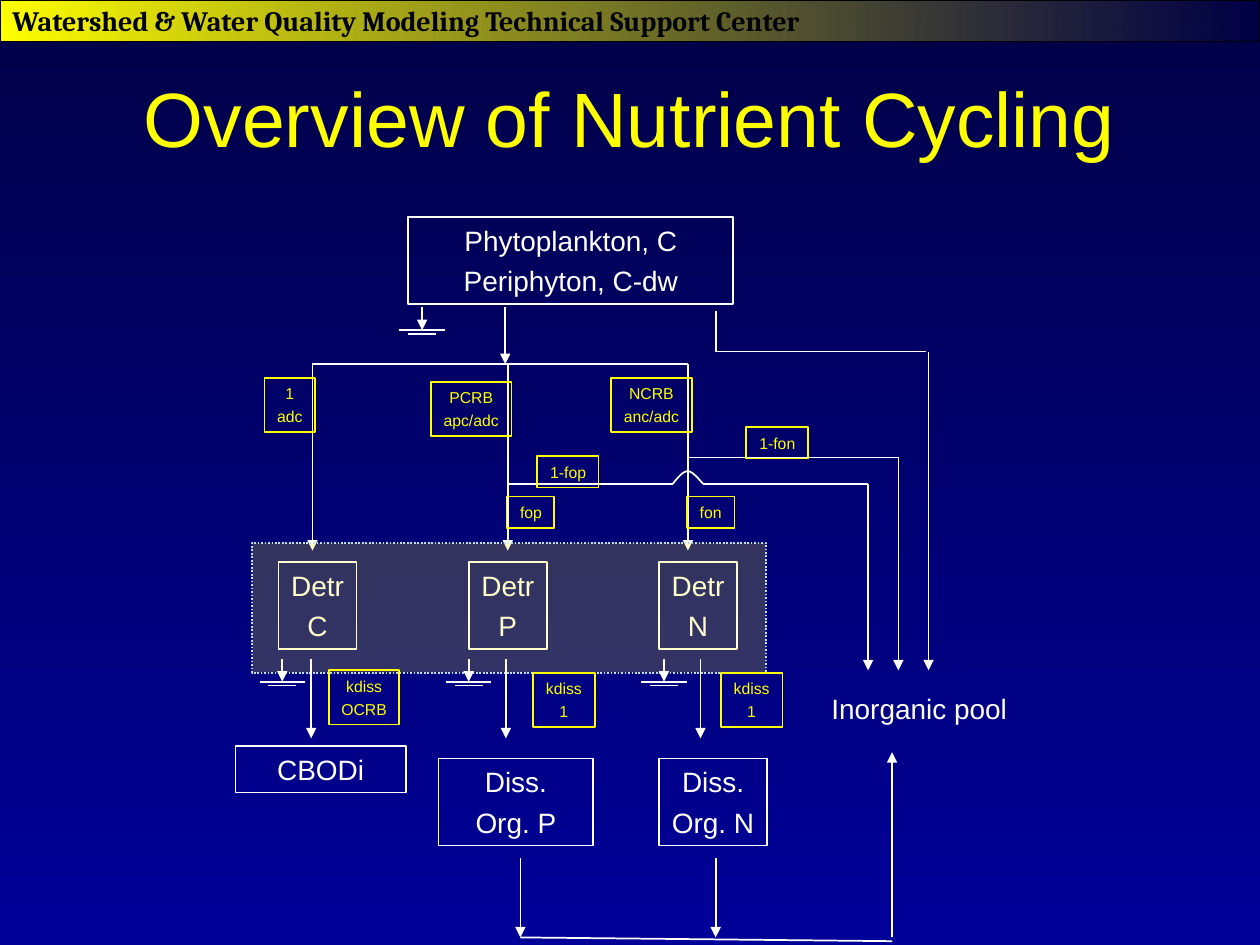
from lxml import etree
from pptx import Presentation, util as u
from pptx.dml.color import RGBColor
from pptx.enum import dml, shapes, text
from pptx.oxml import ns

Inches = u.Inches
COLORS = {"navy": "000046", "blue": "000099", "yellow": "FFFF00",
          "white": "FFFFFF", "black": "000000", "pale": "BBE0E3"}
ALIGN = text.PP_ALIGN
ANCHOR = text.MSO_ANCHOR


def rgb(name):
    return RGBColor.from_string(COLORS[name])


def set_alpha(sp, percent):
    color = sp._element.spPr.find(".//" + ns.qn("a:srgbClr"))
    etree.SubElement(color, ns.qn("a:alpha"), val=str(percent * 1000))


def set_gradient(fill, first, last, angle):
    fill.gradient()
    fill.gradient_angle = angle
    for stop, name in zip(fill.gradient_stops, (first, last)):
        stop.color.rgb = rgb(name)


def write(sp, content, size=16, color="white", font="Arial", bold=False,
          align=ALIGN.CENTER, anchor=ANCHOR.MIDDLE, before=0.0, wrap=False):
    tf = sp.text_frame
    tf.word_wrap = wrap
    tf.vertical_anchor = anchor
    for i, line in enumerate(content.split("\n")):
        p = tf.paragraphs[0] if i == 0 else tf.add_paragraph()
        p.alignment = align
        p.space_before = u.Pt(before)
        r = p.add_run()
        r.text = line
        r.font.size = u.Pt(size)
        r.font.name = font
        r.font.bold = bold
        r.font.color.rgb = rgb(color)


def set_outline(sp, line="white", width=1):
    sp.shadow.inherit = False
    sp.fill.background()
    sp.line.color.rgb = rgb(line)
    sp.line.width = u.Pt(width)


def add_rect(s, x, y, w, h, line="white", width=1):
    sp = s.shapes.add_shape(shapes.MSO_SHAPE.RECTANGLE,
                            Inches(x), Inches(y), Inches(w), Inches(h))
    set_outline(sp, line, width)
    return sp


def add_stock(s, x, y, w, h, content, wrap=False):
    write(add_rect(s, x, y, w, h), content, before=4, wrap=wrap)


def add_rate(s, x, y, w, h, content, align=ALIGN.CENTER):
    write(add_rect(s, x, y, w, h, "yellow"), content, size=9, color="yellow",
          align=align, anchor=ANCHOR.TOP, before=2.2)


def add_line(s, x1, y1, x2, y2, arrow=False):
    c = s.shapes.add_connector(shapes.MSO_CONNECTOR.STRAIGHT,
                               Inches(x1), Inches(y1), Inches(x2), Inches(y2))
    c.line.color.rgb = rgb("white")
    c.line.width = u.Pt(1)
    if arrow:
        ln = c._element.spPr.find(ns.qn("a:ln"))
        etree.SubElement(ln, ns.qn("a:tailEnd"), type="triangle")
    etree.SubElement(c._element.spPr, ns.qn("a:effectLst"))


def add_sink(s, x, y):
    add_line(s, x, y, x, y + 0.18, arrow=True)
    add_line(s, x - 0.18, y + 0.18, x + 0.18, y + 0.18)
    add_line(s, x - 0.11, y + 0.21, x + 0.11, y + 0.21)


def curve_points(p0, p1, p2, p3, steps=12):
    for i in range(1, steps + 1):
        t = i / steps
        weights = ((1 - t) ** 3, 3 * t * (1 - t) ** 2, 3 * t * t * (1 - t), t ** 3)
        yield tuple(Inches(sum(k * p[axis] for k, p in zip(weights, (p0, p1, p2, p3))))
                    for axis in (0, 1))


def add_line_hop(s, x, y):
    start, top, end = (x, y), (x + 0.12, y - 0.1), (x + 0.24, y)
    points = [*curve_points(start, (x + 0.04, y - 0.05), (x + 0.08, y - 0.1), top),
              *curve_points(top, (x + 0.16, y - 0.1), (x + 0.22, y - 0.02), end)]
    builder = s.shapes.build_freeform(Inches(x), Inches(y))
    builder.add_line_segments(points, close=False)
    set_outline(builder.convert_to_shape())


def banner(s, x, y, w, h):
    sp = add_rect(s, x, y, w, h, "black", 0.75)
    set_gradient(sp.fill, "navy", "yellow", 180)
    set_alpha(sp, 81)
    write(sp, "Watershed & Water Quality Modeling Technical Support Center",
          font="Cambria", color="black", bold=True, align=ALIGN.LEFT, wrap=True)


def title(s, x, y, w, h):
    sp = s.shapes.add_textbox(Inches(x), Inches(y), Inches(w), Inches(h))
    write(sp, "Overview of Nutrient Cycling", size=44, color="yellow", wrap=True)


def producers(s, x, y, w, h):
    add_stock(s, x, y, w, h, "Phytoplankton, C\nPeriphyton, C-dw", wrap=True)
    bottom = y + h + 0.03
    add_sink(s, x + 0.11, bottom)
    add_line(s, x + 0.77, bottom, x + 0.77, bottom + 0.45, arrow=True)


def uptake(s, x, y, w, h):
    add_line(s, x, y, x + w, y)
    for dx in (0, 1.55, w):
        add_line(s, x + dx, y, x + dx, y + h, arrow=True)
    add_rate(s, x - 0.38, y + 0.11, 0.4, 0.43, "1\nadc")
    add_rate(s, x + 0.94, y + 0.14, 0.64, 0.43, "PCRB\napc/adc")
    add_rate(s, x + 2.37, y + 0.11, 0.64, 0.43, "NCRB\nanc/adc")
    add_rate(s, x + 1.54, y + 1.05, 0.38, 0.25, "fop", ALIGN.RIGHT)
    add_rate(s, x + 2.97, y + 1.05, 0.38, 0.25, "fon")


def inorganic_paths(s, x, y, w, h):
    right, bottom = x + w, y + h
    n_x, p_y, n_y = x + 1.43, y + 1.37, y + 1.16
    add_line(s, x + 1.65, y, x + 1.65, y + 0.32)
    add_line(s, x + 1.65, y + 0.32, right - 0.02, y + 0.32)
    add_line(s, x, p_y, n_x - 0.12, p_y)
    add_line_hop(s, n_x - 0.12, p_y)
    add_line(s, n_x + 0.12, p_y, right - 0.48, p_y)
    add_line(s, n_x, n_y, right - 0.24, n_y)
    for arrow_x, top in ((right, y + 0.32), (right - 0.24, n_y), (right - 0.48, p_y)):
        add_line(s, arrow_x, top, arrow_x, bottom, arrow=True)
    add_rate(s, x + 0.23, p_y - 0.22, 0.49, 0.25, "1-fop", ALIGN.RIGHT)
    add_rate(s, x + 1.89, n_y - 0.24, 0.49, 0.25, "1-fon", ALIGN.RIGHT)
    sp = s.shapes.add_textbox(Inches(right - 0.87), Inches(bottom + 0.12),
                              Inches(1.59), Inches(0.37))
    write(sp, "Inorganic pool", before=4, anchor=ANCHOR.TOP)


def detritus(s, x, y, w, h):
    for i, nutrient in enumerate("CPN"):
        add_stock(s, x + 0.21 + 1.51 * i, y + 0.15, 0.62, 0.69, f"Detr\n{nutrient}")
    veil = add_rect(s, x, y, w, h, "pale")
    veil.line.dash_style = dml.MSO_LINE.ROUND_DOT
    veil.fill.solid()
    veil.fill.fore_color.rgb = rgb("yellow")
    set_alpha(veil, 20)


def dissolution(s, x, y, w, h):
    for i, sink_dx in enumerate((0.37, 1.85, 3.4)):
        flow_x = x + 0.6 + 1.545 * i
        add_sink(s, x + sink_dx, y)
        add_line(s, flow_x, y, flow_x, y + 0.63, arrow=True)
    add_rate(s, x + 0.74, y + 0.09, 0.56, 0.43, "kdiss\nOCRB")
    for dx in (2.36, w - 0.49):
        add_rate(s, x + dx, y + 0.11, 0.49, 0.43, "kdiss\n1")
    add_stock(s, x, y + 0.69, 1.35, 0.37, "CBODi", wrap=True)
    add_stock(s, x + 1.61, y + h - 0.69, 1.23, 0.69, "Diss.\nOrg. P", wrap=True)
    add_stock(s, x + 3.36, y + h - 0.69, 0.86, 0.69, "Diss.\nOrg. N")


def mineralization(s, x, y, w, h):
    bottom = y + h
    for dx in (0, 1.55):
        add_line(s, x + dx, y, x + dx, bottom, arrow=True)
    add_line(s, x, bottom, x + w, bottom + 0.03)
    add_line(s, x + w, bottom, x + w, y - 0.84, arrow=True)


def main():
    prs = Presentation()
    prs.slide_width, prs.slide_height = Inches(10), Inches(7.5)
    s = prs.slides.add_slide(prs.slide_layouts[6])
    set_gradient(s.background.fill, "navy", "blue", 270)
    banner(s, 0, 0, 10, 0.33)
    producers(s, 3.24, 1.72, 2.58, 0.69)
    uptake(s, 2.48, 2.89, 2.98, 1.48)
    detritus(s, 2, 4.31, 4.08, 1.03)
    dissolution(s, 1.87, 5.23, 4.34, 1.48)
    inorganic_paths(s, 4.03, 2.47, 3.34, 2.85)
    mineralization(s, 4.13, 6.81, 2.95, 0.63)
    title(s, 0.5, 0.3, 9, 1.25)
    prs.save("out.pptx")


if __name__ == "__main__":
    main()
